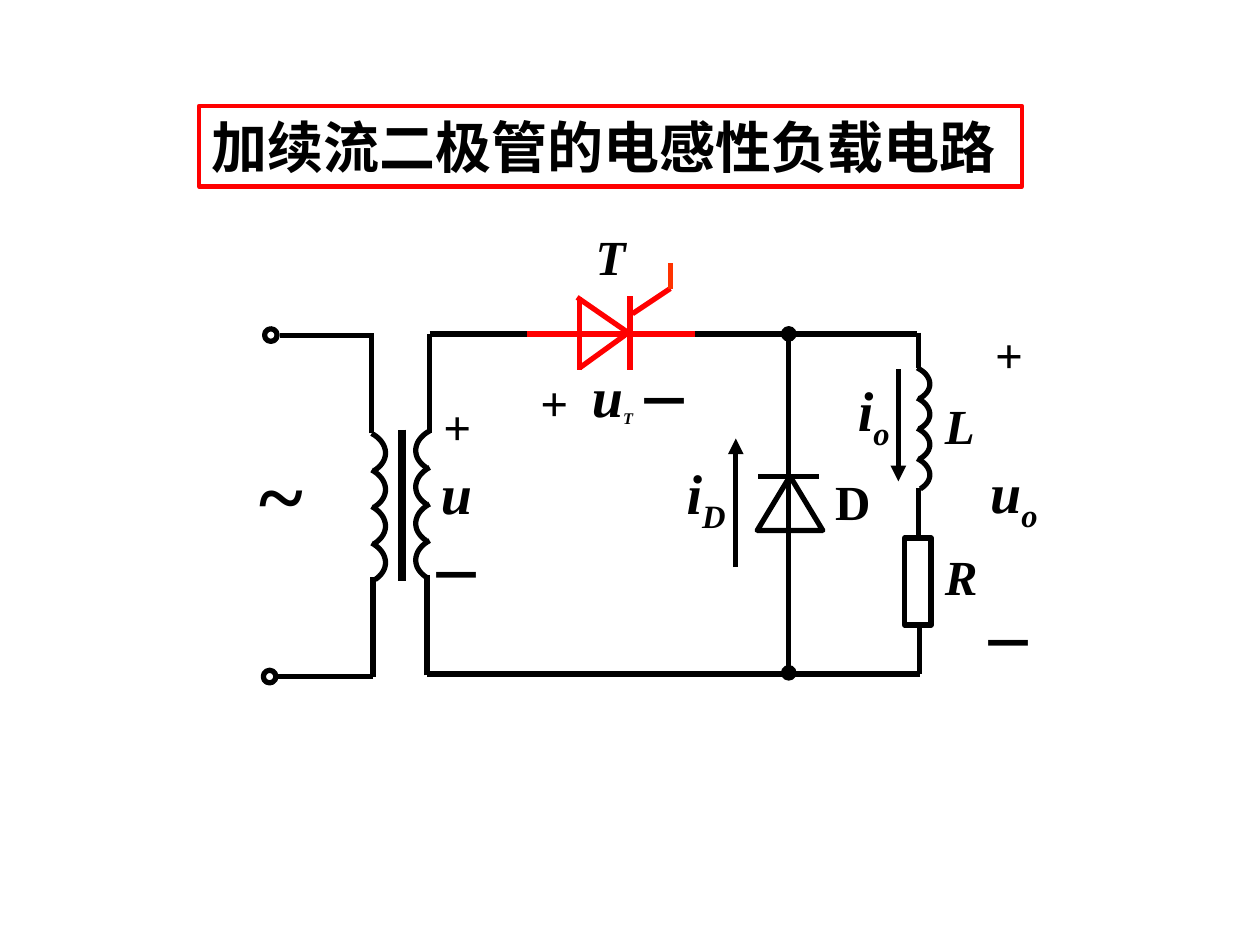
from dataclasses import dataclass

from lxml import etree
from pptx import Presentation
from pptx.dml.color import RGBColor
from pptx.enum.shapes import MSO_CONNECTOR, MSO_SHAPE
from pptx.enum.text import MSO_ANCHOR, MSO_AUTO_SIZE, PP_ALIGN
from pptx.oxml.ns import qn
from pptx.util import Inches, Pt

STRAIGHT = MSO_CONNECTOR.STRAIGHT
OVAL, TRIANGLE, RECTANGLE = MSO_SHAPE.OVAL, MSO_SHAPE.ISOSCELES_TRIANGLE, MSO_SHAPE.RECTANGLE
MIDDLE, LEFT = MSO_ANCHOR.MIDDLE, PP_ALIGN.LEFT
FIT_SHAPE, NO_FIT = MSO_AUTO_SIZE.SHAPE_TO_FIT_TEXT, MSO_AUTO_SIZE.NONE


@dataclass(frozen=True)
class Theme:
    font: str = "Times New Roman"
    ink: RGBColor = RGBColor(0, 0, 0)
    paper: RGBColor = RGBColor(255, 255, 255)
    red: RGBColor = RGBColor(255, 0, 0)
    gate: RGBColor = RGBColor(255, 51, 0)
    wire: float = 3
    core: float = 4.5
    frame: float = 2.5
    small: int = 16
    letter: int = 28
    symbol: int = 32
    wave: int = 48


THEME = Theme()

# One coil turn as two Bezier arcs, in fractions of its bulge and height
TURN = (
    ((0, 0), (0.59, 0.12), (0.95, 0.3), (1, 0.5)),
    ((1, 0.5), (1.04, 0.7), (0.73, 0.88), (0.25, 1)),
)
STEPS = 10


def bezier(points, t):
    weights = ((1 - t) ** 3, 3 * t * (1 - t) ** 2, 3 * t * t * (1 - t), t ** 3)
    return tuple(sum(w * point[axis] for w, point in zip(weights, points)) for axis in (0, 1))


def format_run(run, size, italic=False):
    font = run.font
    font.name, font.size, font.bold, font.italic = THEME.font, Pt(size), True, italic
    font.color.rgb = THEME.ink


class Region:
    """Draws circuit parts at offsets in inches from the region's origin."""

    def __init__(self, shapes, left, top):
        self.shapes, self.left, self.top = shapes, left, top

    def place(self, x, y):
        return Inches(self.left + x), Inches(self.top + y)

    def outline(self, shape, fill=None):
        shape.shadow.inherit = False
        if fill is None:
            shape.fill.background()
        else:
            shape.fill.solid()
            shape.fill.fore_color.rgb = fill
        shape.line.color.rgb = THEME.ink
        shape.line.width = Pt(THEME.wire)

    def line(self, x1, y1, x2, y2, color=THEME.ink, width=THEME.wire, head=None, tail=None):
        connector = self.shapes.add_connector(STRAIGHT, *self.place(x1, y1), *self.place(x2, y2))
        connector.line.color.rgb = color
        connector.line.width = Pt(width)
        properties = connector._element.spPr
        for tag, end in (("a:headEnd", head), ("a:tailEnd", tail)):
            if end:
                etree.SubElement(properties.find(qn("a:ln")), qn(tag), type=end)
        etree.SubElement(properties, qn("a:effectLst"))

    def shape(self, kind, x, y, width, height, fill=None):
        shape = self.shapes.add_shape(kind, *self.place(x, y), Inches(width), Inches(height))
        self.outline(shape, fill)

    def coil(self, x, y, pitch, bulge, turns=4):
        for turn in range(turns):
            points = [
                self.place(x + bulge * u, y + pitch * (turn + v))
                for arc in TURN
                for u, v in (bezier(arc, step / STEPS) for step in range(STEPS + 1))
            ]
            builder = self.shapes.build_freeform(*points[0])
            builder.add_line_segments(points[1:], close=False)
            self.outline(builder.convert_to_shape())

    def label(self, x, y, width, text, size=THEME.letter, italic=False,
              subscript="", subscript_size=THEME.symbol):
        height = 0.71 if subscript else size / 50
        box = self.shapes.add_textbox(*self.place(x, y), Inches(width), Inches(height))
        frame = box.text_frame
        frame.word_wrap, frame.auto_size = False, FIT_SHAPE
        frame.text = text
        paragraph = frame.paragraphs[0]
        format_run(paragraph.runs[0], size, italic)
        if subscript:
            run = paragraph.add_run()
            run.text = subscript
            format_run(run, subscript_size, italic)
            run._r.get_or_add_rPr().set("baseline", "-25000")

    def plus(self, x, y):
        self.label(x, y, 0.42, "+")

    def minus(self, x, y):
        self.label(x, y, 0.64, "－", THEME.symbol)


def add_title(slide, left, top, width, height):
    title = slide.shapes.title
    title.left, title.top = Inches(left), Inches(top)
    title.width, title.height = Inches(width), Inches(height)
    title.line.color.rgb = THEME.red
    title.line.width = Pt(THEME.frame)
    frame = title.text_frame
    frame.text = "加续流二极管的电感性负载电路"
    frame.auto_size, frame.vertical_anchor = NO_FIT, MIDDLE
    frame.paragraphs[0].alignment = LEFT
    format_run(frame.paragraphs[0].runs[0], THEME.symbol)


def add_transformer(shapes, left, top):
    region = Region(shapes, left, top)
    # Primary side with its terminals
    region.line(0.22, 0.01, 0.97, 0.01)
    region.line(0.95, 0.79, 0.95, 0)
    region.coil(0.95, 0.79, 0.29, 0.11)
    region.line(0.96, 2.72, 0.96, 1.93)
    region.line(0.2, 2.72, 0.96, 2.72)
    for x, y in ((0.1, -0.04), (0.09, 2.67)):
        region.shape(OVAL, x, y, 0.1, 0.1)
    region.label(-0.04, 0.81, 0.54, "~", THEME.wave)
    # Core and secondary side
    region.line(1.19, 0.76, 1.19, 1.96, width=THEME.core)
    region.line(1.41, 0.79, 1.41, 0)
    region.coil(1.41, 0.77, 0.29, -0.11)
    region.line(1.39, 2.71, 1.39, 1.91)
    region.plus(1.42, 0.45)
    region.label(1.4, 0.94, 0.45, "u", THEME.symbol, italic=True)
    region.minus(1.3, 1.59)


def add_thyristor(shapes, left, top):
    region = Region(shapes, left, top)
    for ends in (
        (0, 0, 1.34, 0),
        (0.42, -0.29, 0.42, 0.29),
        (0.4, -0.29, 0.82, 0),
        (0.42, 0.27, 0.78, 0.01),
        (0.82, -0.3, 0.82, 0.29),
        (0.84, -0.16, 1.14, -0.36),
    ):
        region.line(*ends, color=THEME.red)
    region.line(1.14, -0.36, 1.14, -0.56, color=THEME.gate)
    region.label(0.45, -0.9, 0.44, "T", italic=True)
    region.plus(0.01, 0.26)
    region.label(0.42, 0.17, 0.7, "u", THEME.symbol, True, "T", THEME.small)
    region.minus(0.77, 0.21)


def add_diode_branch(shapes, left, top):
    region = Region(shapes, left, top)
    region.line(0, 0, 0, 2.69, head="oval", tail="oval")
    region.shape(TRIANGLE, -0.25, 1.13, 0.52, 0.43)
    region.line(-0.24, 1.13, 0.24, 1.13)
    region.line(-0.42, 1.85, -0.42, 0.83, tail="triangle")
    region.label(-0.91, 0.94, 0.51, "i", THEME.symbol, True, "D")
    region.label(0.27, 1.04, 0.48, "D")


def add_load_branch(shapes, left, top):
    region = Region(shapes, left, top)
    # Inductor and resistor in series
    region.line(0, -0.01, 0, 0.27)
    region.coil(-0.01, 0.27, 0.24, 0.1)
    region.line(0, 1.22, 0, 1.62)
    region.shape(RECTANGLE, -0.11, 1.62, 0.21, 0.69, THEME.paper)
    region.line(0.01, 2.31, 0.01, 2.7)
    region.label(0.11, 0.44, 0.44, "L", italic=True)
    region.label(0.11, 1.64, 0.46, "R", italic=True)
    # Output current and voltage
    region.line(-0.16, 0.28, -0.16, 1.17, tail="triangle")
    region.label(-0.58, 0.28, 0.45, "i", THEME.symbol, True, "o")
    region.plus(0.51, -0.12)
    region.label(0.47, 0.93, 0.71, "u", THEME.symbol, True, "o")
    region.minus(0.39, 2.13)


def add_rails(shapes, left, top):
    region = Region(shapes, left, top)
    region.line(0, 0, 0.77, 0)
    region.line(2.09, 0, 3.87, 0)
    region.line(-0.02, 2.7, 3.89, 2.7)


def main():
    presentation = Presentation()
    presentation.slide_width, presentation.slide_height = Inches(10), Inches(7.5)
    slide = presentation.slides.add_slide(presentation.slide_layouts[5])
    add_title(slide, 1.58, 0.84, 6.53, 0.64)
    add_rails(slide.shapes, 3.41, 2.65)
    add_transformer(slide.shapes, 2, 2.65)
    add_thyristor(slide.shapes, 4.18, 2.65)
    add_load_branch(slide.shapes, 7.29, 2.65)
    add_diode_branch(slide.shapes, 6.26, 2.65)
    presentation.save("out.pptx")


if __name__ == "__main__":
    main()
